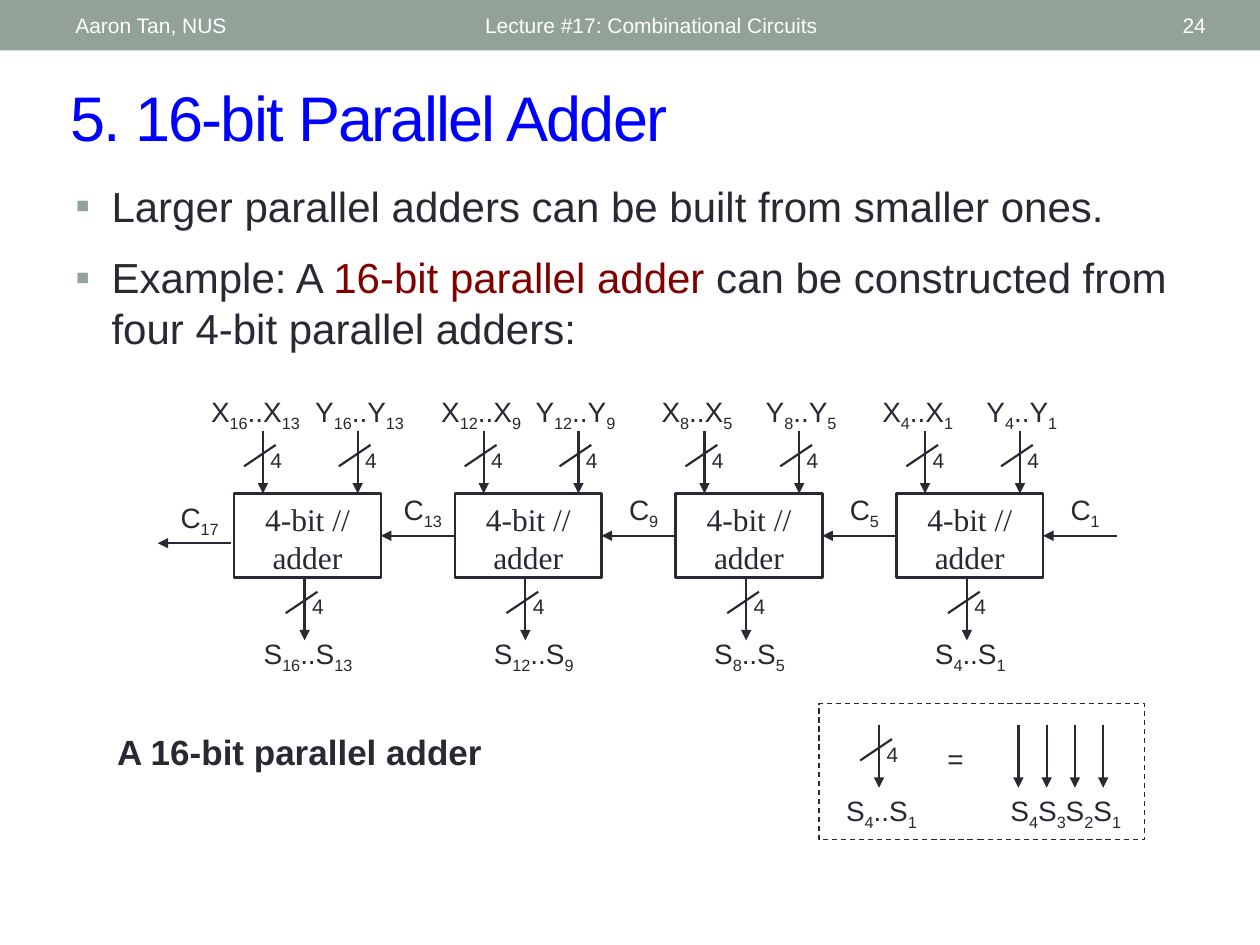
import pptx
import pptx.dml.color
import pptx.enum.dml
import pptx.enum.shapes
import pptx.enum.text
import pptx.oxml.ns
import pptx.util
from lxml import etree
from pptx.util import Cm, Pt

INK = "292934"
SAGE = "93A299"
WHITE = "FFFFFF"
ALIGN = pptx.enum.text.PP_ALIGN
ANCHOR = pptx.enum.text.MSO_ANCHOR
RECTANGLE = pptx.enum.shapes.MSO_SHAPE.RECTANGLE

HEADER = {"name": "Arial", "size": Pt(12)}
TITLE = {"name": "Arial", "size": Pt(36)}
BODY = {"name": "Arial", "size": Pt(24)}
SIGNAL = {"name": "Arial", "size": Pt(16)}
WIDTH_MARK = {"name": "Arial", "size": Pt(12)}
ADDER = {"name": "Times New Roman", "size": Pt(18)}
CAPTION = {"name": "Arial", "size": Pt(20), "bold": True}

# Highest bit, lowest bit, inward shift of the signal labels
ADDERS = [(16, 13, 0), (12, 9, 0.1), (8, 5, 0), (4, 1, 0)]
FIRST_ADDER, ADDER_PITCH = 4.72, 4.45
ADDER_TOP, ADDER_WIDTH, ADDER_HEIGHT = 9.95, 2.96, 1.69
BUS_LENGTH = 1.27
CARRY_LENGTH = 1.48
LABEL_HEIGHT = 0.94


def color(value):
    """Turn a hex string into a colour."""
    return pptx.dml.color.RGBColor.from_string(value)


def add_xml(parent, tag, **attributes):
    """Append a DrawingML element and return it."""
    return etree.SubElement(parent, pptx.oxml.ns.qn(tag), attributes)


def add_run(paragraph, text, style, ink=INK):
    """Add one run formatted from a style dict."""
    run = paragraph.add_run()
    run.text = text
    for name, value in style.items():
        setattr(run.font, name, value)
    run.font.color.rgb = color(ink)
    return run


def add_text(shapes, box, text, style, ink=INK, align=ALIGN.CENTER,
             anchor=ANCHOR.TOP, side_margin=0.25):
    """Add a text box; parts between bars alternate normal and subscript."""
    shape = shapes.add_textbox(*map(Cm, box))
    fill_text(shape, text, style, ink, align, anchor, side_margin)
    return shape


def fill_text(shape, text, style, ink=INK, align=ALIGN.CENTER,
              anchor=ANCHOR.TOP, side_margin=0.25):
    """Write one paragraph with optional subscripts into a shape."""
    frame = shape.text_frame
    settings = {"word_wrap": True, "vertical_anchor": anchor,
                "margin_left": Cm(side_margin), "margin_right": Cm(side_margin)}
    for name, value in settings.items():
        setattr(frame, name, value)
    paragraph = frame.paragraphs[0]
    paragraph.alignment = align
    for index, part in enumerate(text.split("|")):
        if part:
            run = add_run(paragraph, part, style, ink)
            if index % 2:
                run._r.get_or_add_rPr().set("baseline", "-25000")


def add_box(shapes, box, fill=None, line=None, weight=1.5, dash=None):
    """Add a rectangle with optional fill and outline."""
    shape = shapes.add_shape(RECTANGLE, *map(Cm, box))
    shape.shadow.inherit = False
    if fill:
        shape.fill.solid()
        shape.fill.fore_color.rgb = color(fill)
    else:
        shape.fill.background()
    if line:
        shape.line.color.rgb = color(line)
        shape.line.width = Pt(weight)
        shape.line.dash_style = dash
    else:
        shape.line.fill.background()
    return shape


def add_line(shapes, start, end, arrow=False):
    """Add a straight line, with an arrowhead at its end if asked."""
    straight = pptx.enum.shapes.MSO_CONNECTOR.STRAIGHT
    connector = shapes.add_connector(straight, *map(Cm, start + end))
    connector.line.color.rgb = color(INK)
    connector.line.width = Pt(1.25)
    if arrow:
        add_xml(connector.line._get_or_add_ln(), "a:tailEnd", type="triangle")
    add_xml(connector._element.spPr, "a:effectLst")


def add_down_arrow(shapes, x, y):
    """Add a downward arrow of bus length."""
    add_line(shapes, (x, y), (x, y + BUS_LENGTH), arrow=True)


def add_bus(shapes, x, y):
    """Add a slashed arrow marked as four wires wide."""
    add_down_arrow(shapes, x, y)
    add_line(shapes, (x + 0.26, y + 0.29), (x - 0.38, y + 0.72))
    add_text(shapes, (x - 0.15, y + 0.21, 0.84, 0.76), "4", WIDTH_MARK)


def add_range(shapes, center, y, letter, high, low):
    """Add a centred signal range such as S4..S1."""
    width = 2.12 + 0.21 * sum(bit > 9 for bit in (high, low))
    add_text(shapes, (center - width / 2, y, width, LABEL_HEIGHT),
             f"{letter}|{high}|..{letter}|{low}", SIGNAL)


def add_carry(shapes, x, y, bit):
    """Add a leftward carry arrow ending at x, with its label above."""
    add_line(shapes, (x + CARRY_LENGTH, y), (x, y), arrow=True)
    add_text(shapes, (x + 0.11, y - 0.99, 1.47, LABEL_HEIGHT), f"C|{bit}", SIGNAL)


def add_adder(shapes, left, high, low, shift):
    """Add one 4-bit adder with its inputs, output and carry-in."""
    box = add_box(shapes, (left, ADDER_TOP, ADDER_WIDTH, ADDER_HEIGHT), line=INK)
    fill_text(box, "4-bit // adder", ADDER)
    for letter, bus, center in (("X", 0.58, 0.43 + shift), ("Y", 2.49, 2.53 - shift)):
        add_range(shapes, left + center, 7.82, letter, high, low)
        add_bus(shapes, left + bus, ADDER_TOP - BUS_LENGTH)
    add_bus(shapes, left + 1.42, ADDER_TOP + ADDER_HEIGHT)
    add_range(shapes, left + 1.49 + shift, 12.7, "S", high, low)
    add_carry(shapes, left + ADDER_WIDTH, 10.8, low)


def add_legend(shapes):
    """Add the dashed key that explains the slashed arrow."""
    top = 14.61
    add_box(shapes, (16.51, 14.18, 6.56, 2.75), line=INK, weight=0.75,
            dash=pptx.enum.dml.MSO_LINE.DASH)
    add_bus(shapes, 17.72, top)
    add_range(shapes, 17.77, 15.88, "S", 4, 1)
    add_text(shapes, (18.63, 14.82, 1.27, LABEL_HEIGHT), "=", SIGNAL, side_margin=0.03)
    for index in range(4):
        add_down_arrow(shapes, 20.53 + 0.57 * index, top)
    add_text(shapes, (20.11, 15.88, 2.75, LABEL_HEIGHT), "S|4|S|3|S|2|S|1",
             SIGNAL, side_margin=0.03)


def add_header(shapes):
    """Add the top bar with author, lecture and page number."""
    add_box(shapes, (0, 0, 25.4, 1.02), fill=SAGE)
    for left, width, text, align in (
            (1.27, 8.05, "Aaron Tan, NUS", ALIGN.LEFT),
            (9.53, 11.43, "Lecture #17: Combinational Circuits", ALIGN.LEFT),
            (22.15, 2.41, "24", ALIGN.RIGHT)):
        add_text(shapes, (left, 0.05, width, 0.91), text, HEADER, WHITE,
                 align, ANCHOR.MIDDLE)


def add_bullets(shapes, box, items):
    """Add bulleted paragraphs, each a list of text and colour pairs."""
    frame = shapes.add_textbox(*map(Cm, box)).text_frame
    frame.word_wrap = True
    for index, runs in enumerate(items):
        paragraph = frame.add_paragraph() if index else frame.paragraphs[0]
        paragraph.space_before = Pt(12 if index else 4)
        properties = paragraph._p.get_or_add_pPr()
        properties.set("marL", str(Cm(0.73)))
        properties.set("indent", str(-Cm(0.73)))
        add_xml(add_xml(properties, "a:buClr"), "a:srgbClr", val=SAGE)
        add_xml(properties, "a:buFont", typeface="Arial")
        add_xml(properties, "a:buChar", char="▪")
        for text, ink in runs:
            add_run(paragraph, text, BODY, ink)


def main():
    """Build the slide and save it."""
    presentation = pptx.Presentation()
    presentation.slide_width, presentation.slide_height = Cm(25.4), Cm(19.05)
    shapes = presentation.slides.add_slide(presentation.slide_layouts[6]).shapes

    add_header(shapes)
    title = add_text(shapes, (1.17, 1.45, 23.39, 1.78), "5. 16-bit Parallel Adder",
                     TITLE, "0000FF", ALIGN.LEFT, ANCHOR.MIDDLE)
    title.text_frame.paragraphs[0].runs[0]._r.get_or_add_rPr().set("spc", "-100")
    add_bullets(shapes, (1.27, 3.51, 22.86, 12.57), [
        [("Larger parallel adders can be built from smaller ones.", INK)],
        [("Example: A ", INK), ("16-bit parallel adder", "800000"),
         (" can be constructed from four 4-bit parallel adders:", INK)]])

    circuit = shapes.add_group_shape().shapes
    for index, (high, low, shift) in enumerate(ADDERS):
        add_adder(circuit, FIRST_ADDER + index * ADDER_PITCH, high, low, shift)
    add_carry(circuit, 3.18, 10.95, 17)
    add_text(circuit, (2.11, 14.61, 8.05, 1.09), "A 16-bit parallel adder",
             CAPTION, align=ALIGN.LEFT)
    add_legend(shapes.add_group_shape().shapes)

    presentation.save("out.pptx")


main()
